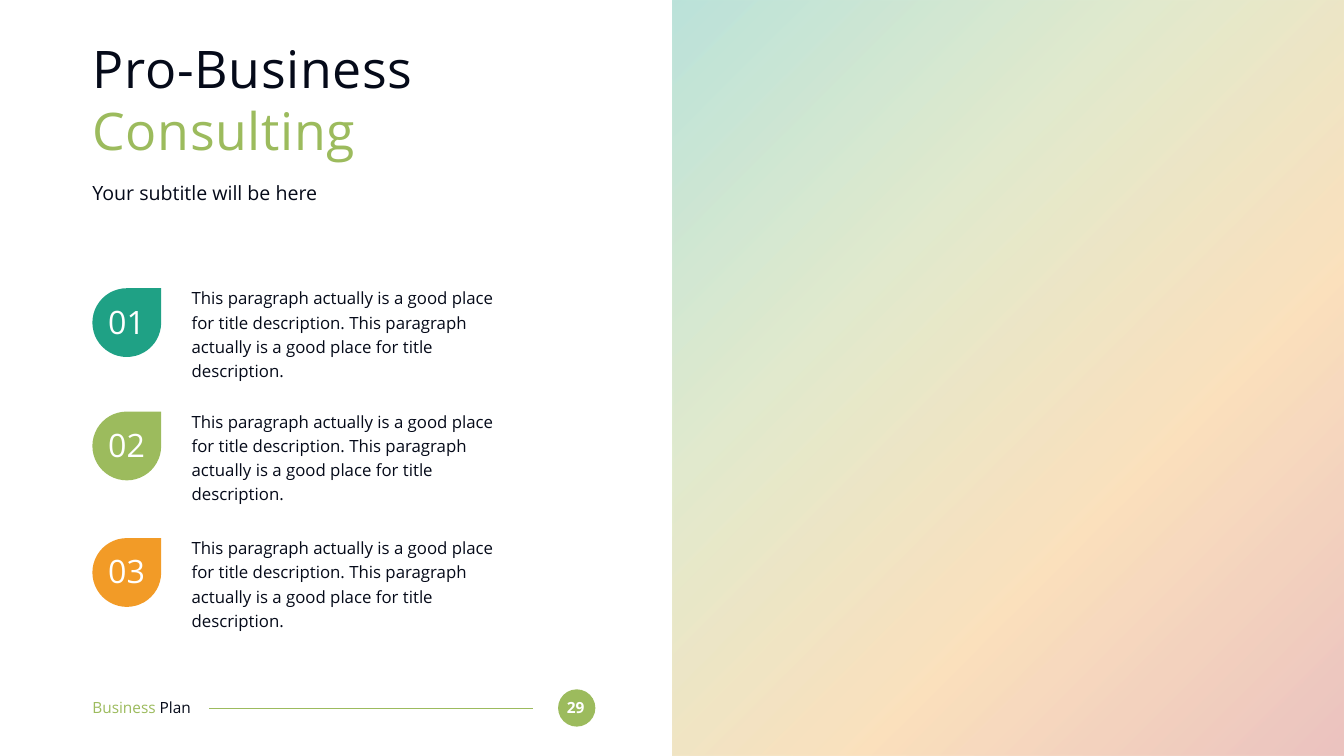
from lxml import etree
from pptx import Presentation
from pptx.dml.color import RGBColor
from pptx.enum.shapes import MSO_CONNECTOR as CONN, MSO_SHAPE as SHAPE
from pptx.enum.text import PP_ALIGN as ALIGN
from pptx.oxml.ns import qn
from pptx.util import Emu, Pt

PX = 9525
FONT = "Open Sans"
DARK, WHITE = "050A19", "FFFFFF"
TEAL, GREEN, ORANGE, RED = "1FA185", "9CBB5D", "F29B27", "BD382F"
DESCRIPTION = ("This paragraph actually is a good place for title description. "
               "This paragraph actually is a good place for title description.")


def px(*values):
    return [Emu(v * PX) for v in values]


def rgb(value):
    return RGBColor.from_string(value)


def add_text(slide, box, runs, size, align=ALIGN.LEFT, spacing=None, bold=False, tracking=None):
    tf = slide.shapes.add_textbox(*px(*box)).text_frame
    tf.word_wrap = True
    tf.margin_left = tf.margin_top = tf.margin_right = tf.margin_bottom = 0
    p = tf.paragraphs[0]
    p.alignment = align
    if spacing:
        p.line_spacing = spacing
    for text, color in runs:
        r = p.add_run()
        r.text = text
        r.font.name = FONT
        r.font.size = Pt(size)
        r.font.bold = bold
        r.font.color.rgb = rgb(color)
        if tracking:
            r.font._element.set("spc", str(tracking * 100))


def add_solid(slide, kind, box, color):
    sp = slide.shapes.add_shape(kind, *px(*box))
    sp.shadow.inherit = False
    sp.fill.solid()
    sp.fill.fore_color.rgb = rgb(color)
    sp.line.fill.background()
    return sp


def add_gradient_panel(slide, box, colors, alpha, angle):
    sp = add_solid(slide, SHAPE.RECTANGLE, box, WHITE)
    sp.fill.gradient()
    grad = sp._element.spPr.find(qn("a:gradFill"))
    for child in list(grad):
        grad.remove(child)
    stops = etree.SubElement(grad, qn("a:gsLst"))
    for i, color in enumerate(colors):
        pos = 100 * i // (len(colors) - 1)
        stop = etree.SubElement(stops, qn("a:gs"), pos=str(pos * 1000))
        clr = etree.SubElement(stop, qn("a:srgbClr"), val=color)
        etree.SubElement(clr, qn("a:alpha"), val=str(alpha * 1000))
    etree.SubElement(grad, qn("a:lin"), ang=str(angle * 60000), scaled="0")


def add_header(slide, x, y, w):
    add_text(slide, (x, y, w, 242), [("Pro-Business ", DARK), ("Consulting", GREEN)], 74, tracking=1)
    add_text(slide, (x, y + 275, w, 47), [("Your subtitle will be here", DARK)], 28)


def add_item(slide, x, y, number, color):
    add_text(slide, (x + 189, y, 603, 136), [(DESCRIPTION, DARK)], 24, spacing=1.2)
    add_solid(slide, SHAPE.TEAR, (x, y + 8, 131, 131), color)
    add_text(slide, (x + 12, y + 34, 106, 74), [(number, WHITE)], 46, ALIGN.CENTER)


def add_footer(slide, x, y):
    add_solid(slide, SHAPE.OVAL, (x + 887, y, 71, 71), GREEN)
    add_text(slide, (x + 892, y + 17, 57, 36), [("29", WHITE)], 22, ALIGN.CENTER, bold=True)
    rule = slide.shapes.add_connector(CONN.STRAIGHT, *px(x + 839, y + 36, x + 223, y + 36))
    rule.line.color.rgb = rgb(GREEN)
    rule.line.width = Pt(1.5)
    etree.SubElement(rule._element.spPr, qn("a:effectLst"))
    add_text(slide, (x, y + 16, 249, 36), [("Business ", GREEN), ("Plan", DARK)], 22)


def main():
    prs = Presentation()
    prs.slide_width, prs.slide_height = px(2560, 1440)
    slide = prs.slides.add_slide(prs.slide_layouts[6])
    left = 176
    add_footer(slide, left, 1313)
    add_gradient_panel(slide, (1280, 0, 1280, 1440), [TEAL, GREEN, ORANGE, RED], 30, 45)
    add_header(slide, left, 70, 950)
    items = [(541, TEAL), (776, GREEN), (1017, ORANGE)]
    for i, (top, color) in enumerate(items, 1):
        add_item(slide, left, top, f"{i:02}", color)
    prs.save("out.pptx")


if __name__ == "__main__":
    main()
